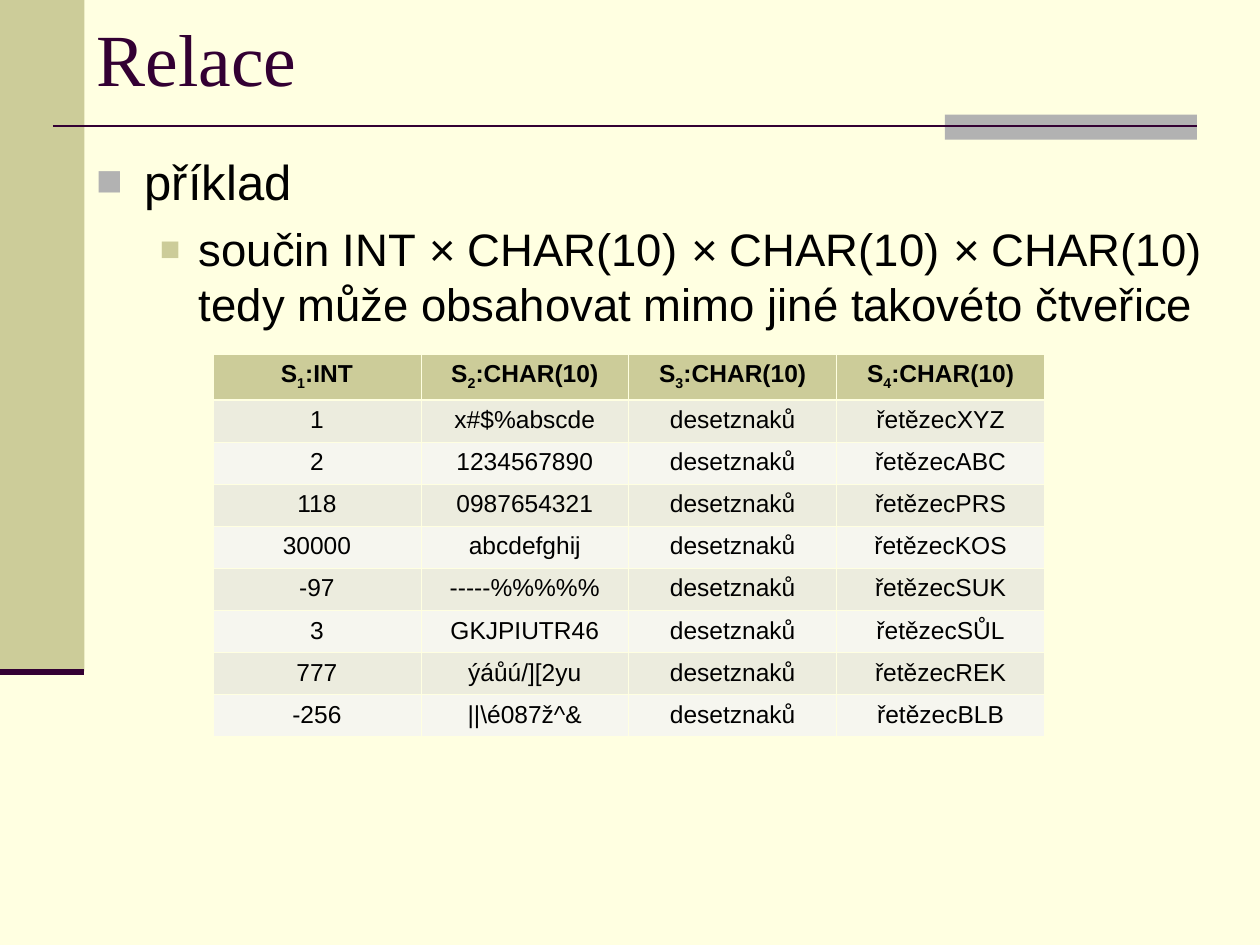
from dataclasses import dataclass

from lxml.etree import SubElement
from pptx import Presentation
from pptx.dml.color import RGBColor
from pptx.enum.shapes import MSO_CONNECTOR as CONN, MSO_SHAPE as SHAPE
from pptx.enum.text import MSO_ANCHOR as ANCHOR, PP_ALIGN as ALIGN
from pptx.oxml.ns import qn
from pptx.util import Inches, Pt

CREAM, OLIVE, GREY, PLUM, BLACK = "FFFFE1", "CCCC99", "B2B2B2", "330033", "000000"
BANDS = ("ECECDE", "F6F6EF")
COL_W, HEAD_H, ROW_H = 1.65, 0.25, 0.23
TYPES = ("INT", "CHAR(10)", "CHAR(10)", "CHAR(10)")
TUPLES = (
    ("1", "x#$%abscde", "řetězecXYZ"),
    ("2", "1234567890", "řetězecABC"),
    ("118", "0987654321", "řetězecPRS"),
    ("30000", "abcdefghij", "řetězecKOS"),
    ("-97", "-----%%%%%", "řetězecSUK"),
    ("3", "GKJPIUTR46", "řetězecSŮL"),
    ("777", "ýáůú/][2yu", "řetězecREK"),
    ("-256", "||\\é087ž^&", "řetězecBLB"),
)


@dataclass
class Box:
    x: float
    y: float
    w: float
    h: float
    fill: str


@dataclass
class Rule:
    x1: float
    x2: float
    y: float
    width: float


@dataclass
class Bullet:
    text: str
    level: int
    size: float
    indent: float
    hang: float
    before: float
    color: str
    scale: int


BOXES = (Box(0, 0, 0.67, 5.33, OLIVE), Box(7.5, 0.91, 2, 0.2, GREY))
RULES = (Rule(0.42, 9.5, 1, 1.5), Rule(0, 0.67, 5.33, 3.5))
BULLETS = (
    Bullet("příklad", 0, 28, 0.38, 0.38, 7, GREY, 90),
    Bullet(
        "součin INT × CHAR(10) × CHAR(10) × CHAR(10) "
        "tedy může obsahovat mimo jiné takovéto čtveřice",
        1, 26, 0.81, 0.31, 6.5, OLIVE, 75,
    ),
)


def rgb(value: str) -> RGBColor:
    return RGBColor.from_string(value)


def add_run(p, text: str, size: float, color: str = BLACK, **fmt):
    r = p.add_run()
    r.text = text
    for name, value in {"name": "Arial", "size": Pt(size), **fmt}.items():
        setattr(r.font, name, value)
    r.font.color.rgb = rgb(color)
    return r


def add_box(slide, box: Box) -> None:
    sp = slide.shapes.add_shape(
        SHAPE.RECTANGLE, Inches(box.x), Inches(box.y), Inches(box.w), Inches(box.h)
    )
    sp.shadow.inherit = False
    sp.fill.solid()
    sp.fill.fore_color.rgb = rgb(box.fill)
    sp.line.fill.background()


def add_rule(slide, rule: Rule) -> None:
    cx = slide.shapes.add_connector(
        CONN.STRAIGHT, Inches(rule.x1), Inches(rule.y), Inches(rule.x2), Inches(rule.y)
    )
    cx.line.color.rgb = rgb(PLUM)
    cx.line.width = Pt(rule.width)
    SubElement(cx._element.spPr, qn("a:effectLst"))


def add_text(slide, x: float, y: float, w: float, h: float, anchor):
    tf = slide.shapes.add_textbox(Inches(x), Inches(y), Inches(w), Inches(h)).text_frame
    tf.word_wrap = True
    tf.vertical_anchor = anchor
    return tf


def add_bullet(p, item: Bullet) -> None:
    p.level = item.level
    p.space_before = Pt(item.before)
    pPr = p._p.get_or_add_pPr()
    pPr.set("marL", str(Inches(item.indent)))
    pPr.set("indent", str(-Inches(item.hang)))
    SubElement(SubElement(pPr, qn("a:buClr")), qn("a:srgbClr")).set("val", item.color)
    SubElement(pPr, qn("a:buSzPct")).set("val", str(item.scale * 1000))
    SubElement(pPr, qn("a:buFont")).set("typeface", "Arial")
    SubElement(pPr, qn("a:buChar")).set("char", "■")
    for i, part in enumerate(item.text.split("×")):
        if i:
            add_run(p, "×", item.size, italic=True)
        add_run(p, part, item.size)


def style_cell(cell, fill: str, top: float, bottom: float):
    tcPr = cell._tc.get_or_add_tcPr()
    for side, width in {"L": 0.45, "R": 0.45, "T": top, "B": bottom}.items():
        ln = SubElement(tcPr, qn(f"a:ln{side}"), w=str(Pt(width)))
        SubElement(SubElement(ln, qn("a:solidFill")), qn("a:srgbClr")).set("val", CREAM)
    cell.fill.solid()
    cell.fill.fore_color.rgb = rgb(fill)
    p = cell.text_frame.paragraphs[0]
    p.alignment = ALIGN.CENTER
    return p


def add_relation(slide, x: float, y: float) -> None:
    rows, cols = len(TUPLES) + 1, len(TYPES)
    table = slide.shapes.add_table(
        rows, cols, Inches(x), Inches(y),
        Inches(cols * COL_W), Inches(HEAD_H + len(TUPLES) * ROW_H),
    ).table
    for col in table.columns:
        col.width = Inches(COL_W)
    for i, row in enumerate(table.rows):
        row.height = Inches(ROW_H if i else HEAD_H)
    for j, kind in enumerate(TYPES):
        p = style_cell(table.cell(0, j), OLIVE, 0.45, 1.47)
        add_run(p, "S", 14, bold=True)
        sub = add_run(p, str(j + 1), 14, bold=True)
        sub.font._element.set("baseline", "-25000")
        add_run(p, f":{kind}", 14, bold=True)
    for i, (number, chars, word) in enumerate(TUPLES, 1):
        for j, text in enumerate((number, chars, "desetznaků", word)):
            top = 1.47 if i == 1 else 0.45
            p = style_cell(table.cell(i, j), BANDS[(i - 1) % 2], top, 0.45)
            add_run(p, text, 14, bold=False)


def main() -> None:
    prs = Presentation()
    prs.slide_width, prs.slide_height = Inches(10), Inches(7.5)
    slide = prs.slides.add_slide(prs.slide_layouts[6])
    slide.background.fill.solid()
    slide.background.fill.fore_color.rgb = rgb(CREAM)
    for box in BOXES:
        add_box(slide, box)
    for rule in RULES:
        add_rule(slide, rule)
    title = add_text(slide, 0.67, 0, 9.33, 0.91, ANCHOR.MIDDLE)
    add_run(title.paragraphs[0], "Relace", 42, PLUM, name="Times New Roman")
    body = add_text(slide, 0.67, 1.15, 9.33, 6.35, ANCHOR.TOP)
    for i, item in enumerate(BULLETS):
        add_bullet(body.add_paragraph() if i else body.paragraphs[0], item)
    add_relation(slide, 1.69, 2.81)
    prs.save("out.pptx")


if __name__ == "__main__":
    main()
